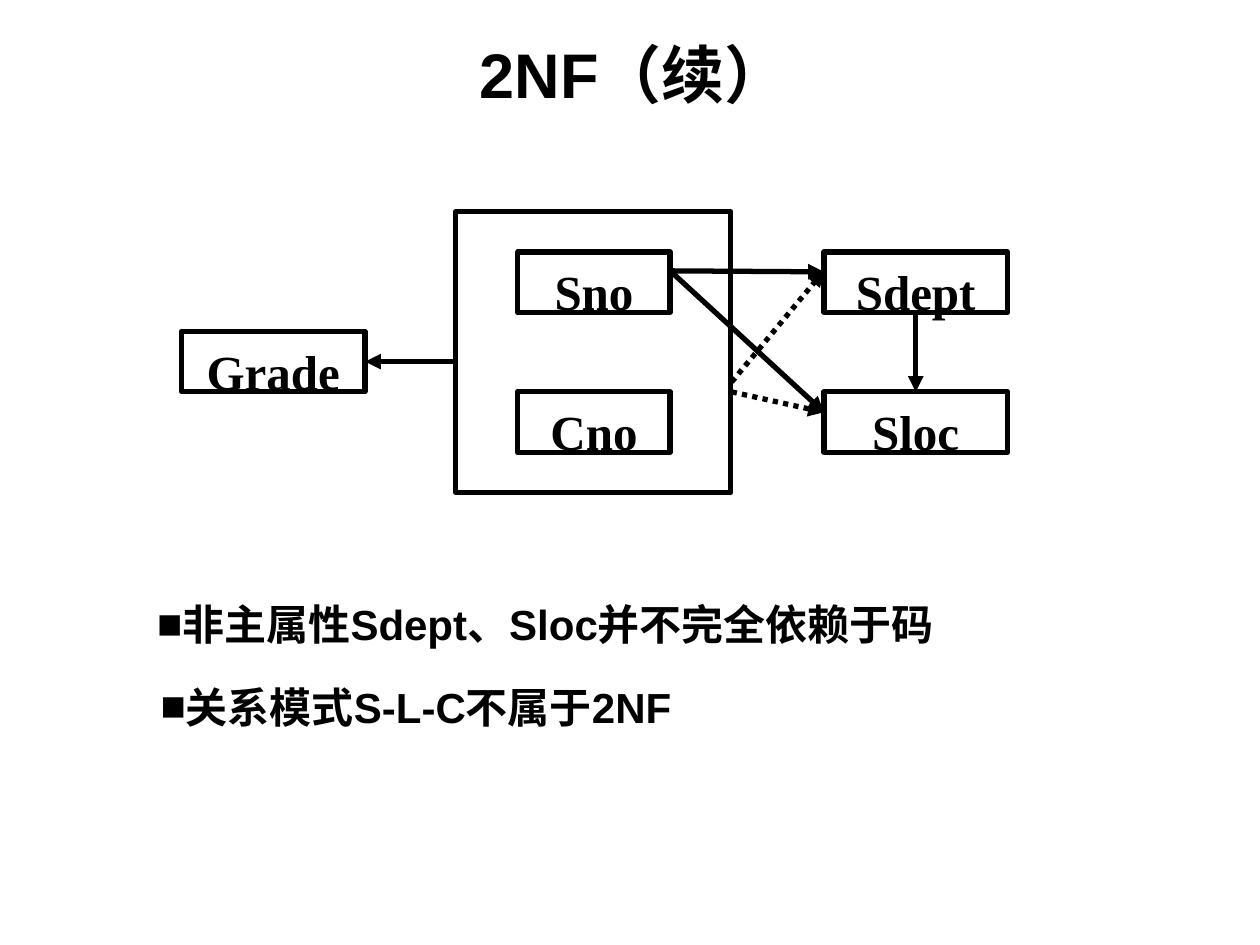
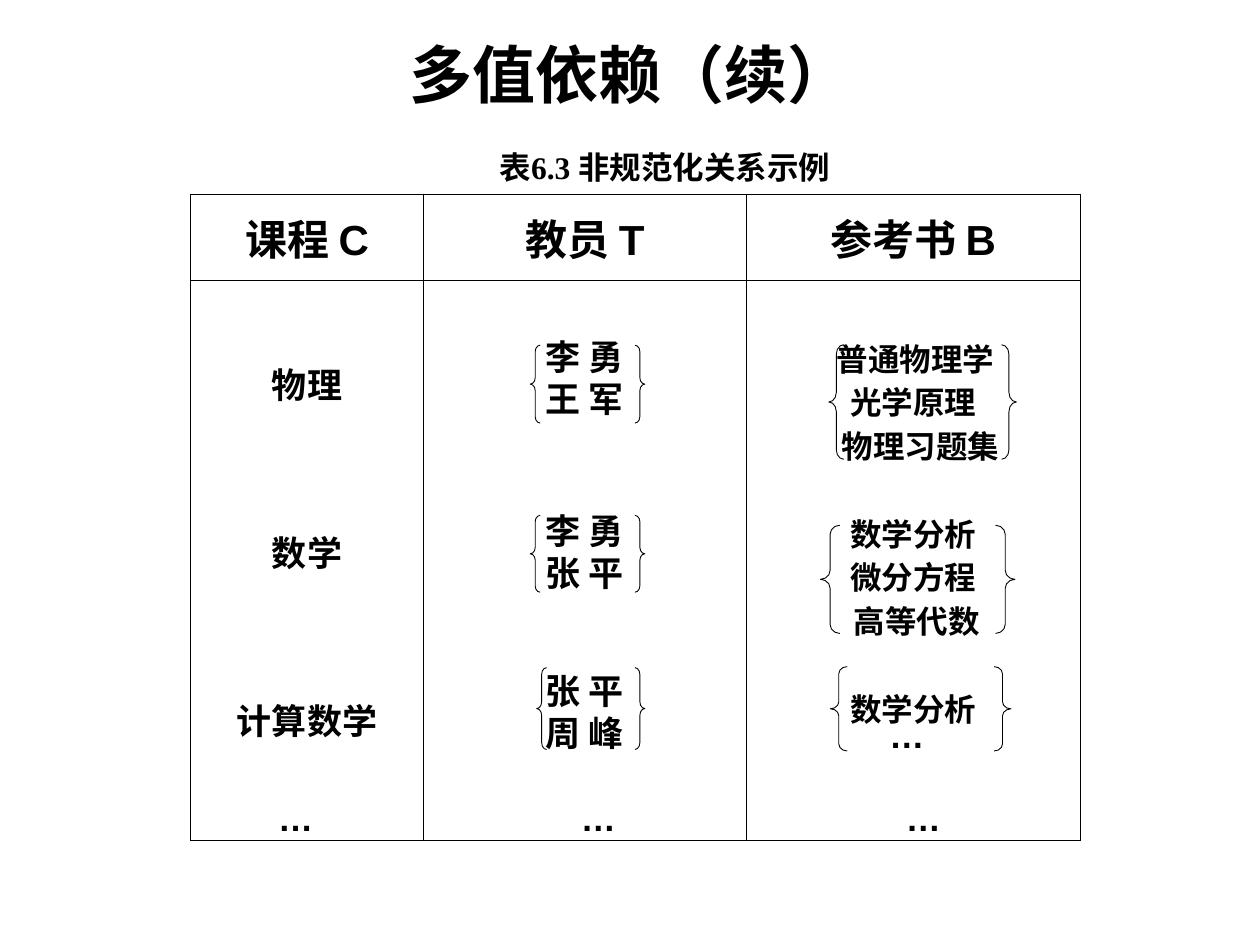
from typing import NamedTuple

from lxml import etree
from pptx import Presentation, util as u
from pptx.dml.color import RGBColor
from pptx.enum import dml, shapes, text
from pptx.oxml.ns import qn

BLACK = "000000"
SANS, SERIF, CJK = "Arial", "Times New Roman", "Noto Sans CJK SC"
CENTER, LEFT = text.PP_ALIGN.CENTER, text.PP_ALIGN.LEFT
MIDDLE, TOP = text.MSO_ANCHOR.MIDDLE, text.MSO_ANCHOR.TOP


class Area(NamedTuple):
    """Left, top, width and height in centimetres."""
    left: float
    top: float
    width: float
    height: float

    def lengths(self) -> list:
        return [u.Cm(value) for value in self]


class Style(NamedTuple):
    size: float
    font: str
    align: text.PP_ALIGN = LEFT
    anchor: text.MSO_ANCHOR = TOP


class Attribute(NamedTuple):
    name: str
    area: Area


class Arrow(NamedTuple):
    start: tuple
    end: tuple
    dotted: bool = False
    start_box: str = ""
    start_site: int = 0
    end_box: str = ""
    end_site: int = 0


class Line(NamedTuple):
    words: str
    gap: float = 0  # space before, points
    indent: float = 0  # centimetres


class Column(NamedTuple):
    heading: str
    letter: str
    width: float
    size: float
    pitch: float
    margin_top: float
    lines: list


class BracePair(NamedTuple):
    left: float
    right: float
    top: float
    height: float
    width: float


TITLE = Style(36, SANS, CENTER, MIDDLE)
CAPTION = Style(18, SERIF, CENTER, MIDDLE)
LABEL = Style(28, SERIF, CENTER)
POINT = Style(24, SANS)
DOTS = Style(20, SANS)

# Slide 1: dependency diagram
KEY_FRAME = Area(9.19, 4.27, 5.54, 5.66)
ATTRIBUTES = [
    Attribute("Sno", Area(10.44, 5.08, 3.07, 1.22)),
    Attribute("Cno", Area(10.44, 7.9, 3.07, 1.22)),
    Attribute("Grade", Area(3.66, 6.68, 3.7, 1.22)),
    Attribute("Sdept", Area(16.61, 5.08, 3.7, 1.22)),
    Attribute("Sloc", Area(16.61, 7.9, 3.7, 1.22)),
]
ARROWS = [
    Arrow((9.19, 7.29), (7.36, 7.29), end_box="Grade", end_site=3),
    Arrow((13.51, 5.46), (16.61, 5.48)),
    Arrow((13.51, 5.46), (16.61, 8.31)),
    Arrow((14.75, 7.7), (16.61, 5.46), dotted=True),
    Arrow((14.75, 7.9), (16.61, 8.31), dotted=True),
    Arrow((18.46, 6.3), (18.46, 7.9), start_box="Sdept", start_site=2,
          end_box="Sloc", end_site=0),
]
POINTS = [
    ("非主属性Sdept、Sloc并不完全依赖于码", Area(2.39, 11.94, 18.21, 1.27)),
    ("关系模式S-L-C不属于2NF", Area(2.46, 13.61, 12.65, 1.27)),
]

# Slide 2: table of courses, teachers and books
TABLE_LEFT, TABLE_TOP = 3.84, 3.91
ROW_HEIGHTS = (1.75, 11.28)
COLUMNS = [
    Column("课程", "C", 4.7, 20, 25, 1.7,
           [Line("物理"), Line("数学", 71), Line("计算数学", 71)]),
    Column("教员", "T", 6.5, 20, 24, 1.17,
           [Line("李 勇"), Line("王 军"), Line("李 勇", 51),
            Line("张 平"), Line("张 平", 43.5), Line("周 峰")]),
    Column("参考书", "B", 6.73, 18, 25, 1.12,
           [Line("普通物理学", indent=0.1), Line("光学原理"),
            Line("物理习题集", indent=0.3), Line("数学分析", 25),
            Line("微分方程"), Line("高等代数", indent=0.15),
            Line("数学分析", 25)]),
]
BRACES = [
    BracePair(10.69, 12.8, 6.96, 1.57, 0.2),
    BracePair(10.69, 12.8, 10.39, 1.55, 0.2),
    BracePair(10.82, 12.8, 13.46, 1.65, 0.2),
    BracePair(16.71, 20.19, 6.95, 2.31, 0.3),
    BracePair(16.54, 20.07, 10.59, 2.18, 0.39),
    BracePair(16.74, 20.04, 13.44, 1.7, 0.34),
]
ELLIPSES = [
    Area(5.36, 15.93, 2.03, 1.27),
    Area(11.46, 15.93, 1.47, 1.27),
    Area(17.68, 14.25, 1.7, 1.07),
    Area(18.01, 15.93, 1.47, 1.27),
]


def color(value: str) -> RGBColor:
    return RGBColor.from_string(value)


def add_span(para, words: str, size: float, font: str) -> None:
    span = para.add_run()
    span.text = words
    span.font.size = u.Pt(size)
    span.font.bold = True
    span.font.color.rgb = color(BLACK)
    span.font.name = font
    etree.SubElement(span.font._element, qn("a:ea"), typeface=CJK)


def write(shape, words: str, style: Style):
    frame = shape.text_frame
    frame.word_wrap = True
    frame.vertical_anchor = style.anchor
    para = frame.paragraphs[0]
    para.alignment = style.align
    add_span(para, words, style.size, style.font)
    return para


def add_text(page, area: Area, words: str, style: Style):
    return write(page.shapes.add_textbox(*area.lengths()), words, style)


def add_bullet(para) -> None:
    props = para._p.get_or_add_pPr()
    props.set("marL", str(u.Cm(0.53)))
    props.set("indent", "0")
    tint = etree.SubElement(props, qn("a:buClr"))
    etree.SubElement(tint, qn("a:srgbClr"), val=BLACK)
    etree.SubElement(props, qn("a:buFont"), typeface=SANS)
    etree.SubElement(props, qn("a:buChar"), char="■")


def add_outline(page, kind: shapes.MSO_SHAPE, area: Area, weight: float):
    shape = page.shapes.add_shape(kind, *area.lengths())
    shape.shadow.inherit = False
    shape.fill.background()
    shape.line.color.rgb = color(BLACK)
    shape.line.width = u.Pt(weight)
    return shape


def add_attribute(page, attribute: Attribute):
    box = add_outline(page, shapes.MSO_SHAPE.RECTANGLE, attribute.area, 3)
    box.text_frame.margin_top = u.Cm(0.2)
    box.text_frame.margin_bottom = 0
    write(box, attribute.name, LABEL)
    return box


def add_arrow(page, arrow: Arrow, boxes: dict) -> None:
    ends = [u.Cm(value) for value in arrow.start + arrow.end]
    link = page.shapes.add_connector(shapes.MSO_CONNECTOR.STRAIGHT, *ends)
    if arrow.start_box:
        link.begin_connect(boxes[arrow.start_box], arrow.start_site)
    if arrow.end_box:
        link.end_connect(boxes[arrow.end_box], arrow.end_site)
    link.line.color.rgb = color(BLACK)
    link.line.width = u.Pt(3)
    if arrow.dotted:
        link.line.dash_style = dml.MSO_LINE.ROUND_DOT
    props = link._element.spPr
    etree.SubElement(props.find(qn("a:ln")), qn("a:tailEnd"), type="triangle")
    etree.SubElement(props, qn("a:effectLst"))


def add_braces(page, pair: BracePair) -> None:
    kinds = shapes.MSO_SHAPE
    for kind, left in ((kinds.LEFT_BRACE, pair.left),
                       (kinds.RIGHT_BRACE, pair.right)):
        area = Area(left, pair.top, pair.width, pair.height)
        brace = add_outline(page, kind, area, 0.5)
        brace.adjustments[0] = pair.height / pair.width / 12


def border_cell(cell) -> None:
    cell.fill.background()
    props = cell._tc.get_or_add_tcPr()
    for index, side in enumerate(("lnL", "lnR", "lnT", "lnB")):
        edge = etree.Element(qn(f"a:{side}"), w=str(u.Pt(0.5)))
        fill = etree.SubElement(edge, qn("a:solidFill"))
        etree.SubElement(fill, qn("a:srgbClr"), val=BLACK)
        props.insert(index, edge)


def fill_body(cell, column: Column) -> None:
    cell.margin_top = u.Cm(column.margin_top)
    cell.margin_bottom = 0
    frame = cell.text_frame
    for index, line in enumerate(column.lines):
        para = frame.add_paragraph() if index else frame.paragraphs[0]
        para.alignment = CENTER
        para.line_spacing = u.Pt(column.pitch)
        if line.gap:
            para.space_before = u.Pt(line.gap)
        if line.indent:
            para._p.get_or_add_pPr().set("marL", str(u.Cm(line.indent)))
        add_span(para, line.words, column.size, SERIF)


def add_course_table(page) -> None:
    area = Area(TABLE_LEFT, TABLE_TOP,
                sum(column.width for column in COLUMNS), sum(ROW_HEIGHTS))
    table = page.shapes.add_table(
        len(ROW_HEIGHTS), len(COLUMNS), *area.lengths()).table
    table.first_row = table.horz_banding = False
    for row, height in zip(table.rows, ROW_HEIGHTS):
        row.height = u.Cm(height)
    for index, column in enumerate(COLUMNS):
        table.columns[index].width = u.Cm(column.width)
        head, body = table.cell(0, index), table.cell(1, index)
        border_cell(head)
        border_cell(body)
        head.vertical_anchor = MIDDLE
        para = head.text_frame.paragraphs[0]
        para.alignment = CENTER
        add_span(para, column.heading + " ", 24, CJK)
        add_span(para, column.letter, 24, SANS)
        fill_body(body, column)


def build_second_normal_form(page) -> None:
    add_text(page, Area(1.35, 0.25, 22.86, 2.44), "2NF（续）", TITLE)
    add_outline(page, shapes.MSO_SHAPE.RECTANGLE, KEY_FRAME, 3)
    boxes = {item.name: add_attribute(page, item) for item in ATTRIBUTES}
    for arrow in ARROWS:
        add_arrow(page, arrow, boxes)
    for words, area in POINTS:
        add_bullet(add_text(page, area, words, POINT))


def build_multivalued_dependency(page) -> None:
    add_text(page, Area(1.27, -0.1, 22.86, 3.15), "多值依赖（续）", TITLE)
    add_text(page, Area(6.32, 2.41, 14.17, 1.9),
             "表6.3 非规范化关系示例", CAPTION)
    add_course_table(page)
    for pair in BRACES:
        add_braces(page, pair)
    for area in ELLIPSES:
        add_text(page, area, "…", DOTS)


def main() -> None:
    deck = Presentation()
    deck.slide_width, deck.slide_height = u.Cm(25.4), u.Cm(19.05)
    for build in (build_second_normal_form, build_multivalued_dependency):
        build(deck.slides.add_slide(deck.slide_layouts[6]))
    deck.save("out.pptx")


if __name__ == "__main__":
    main()
